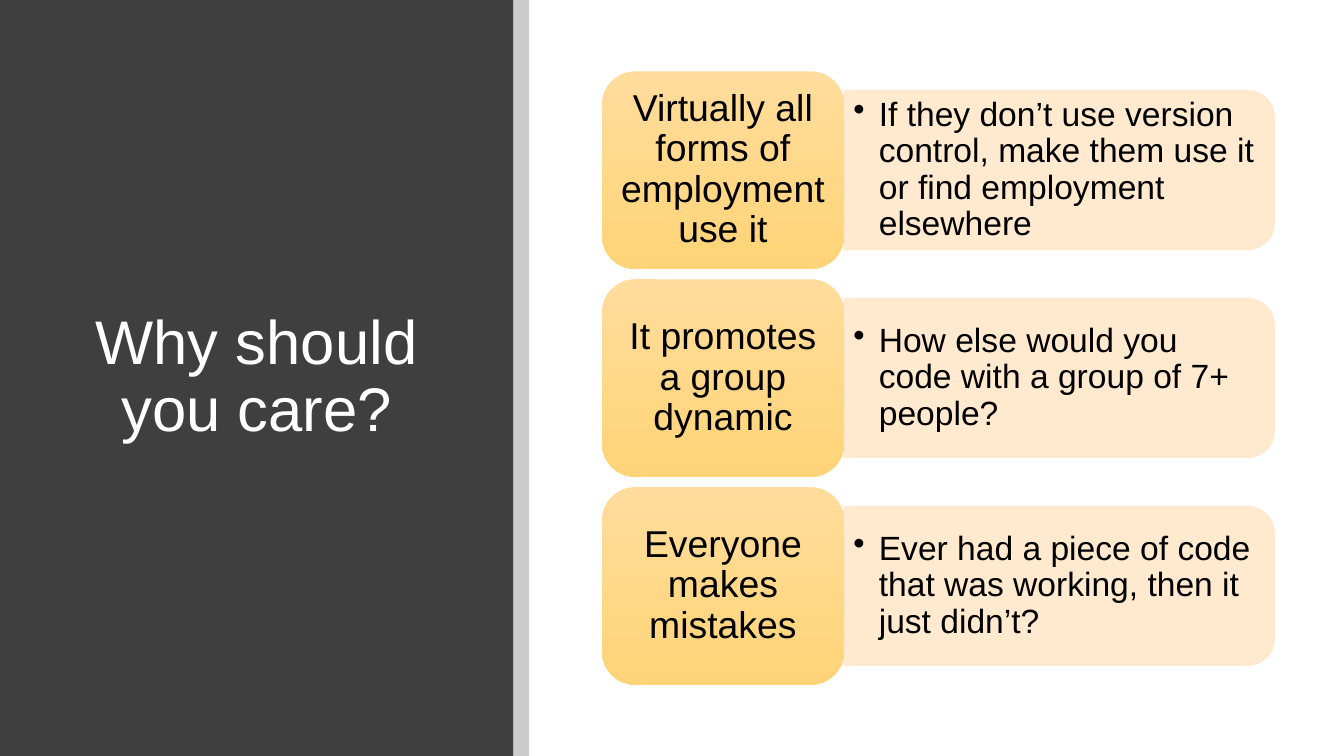
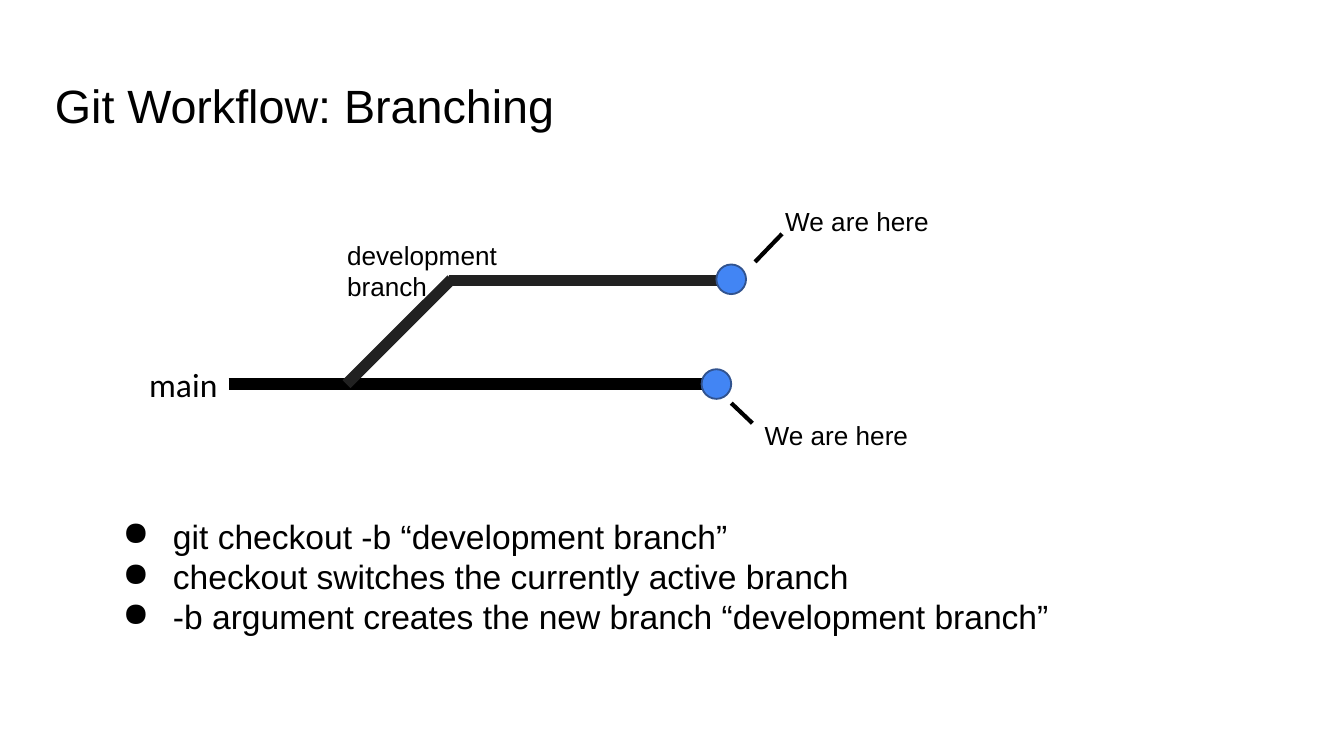
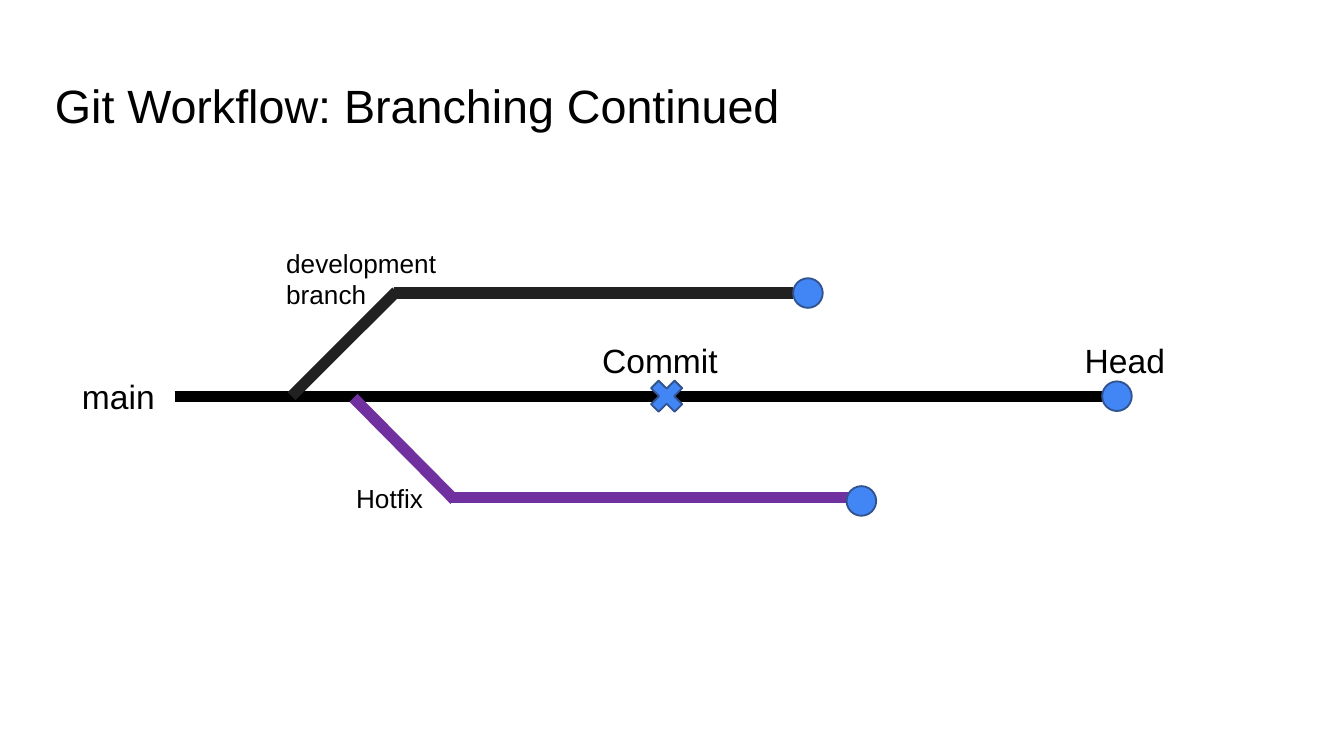
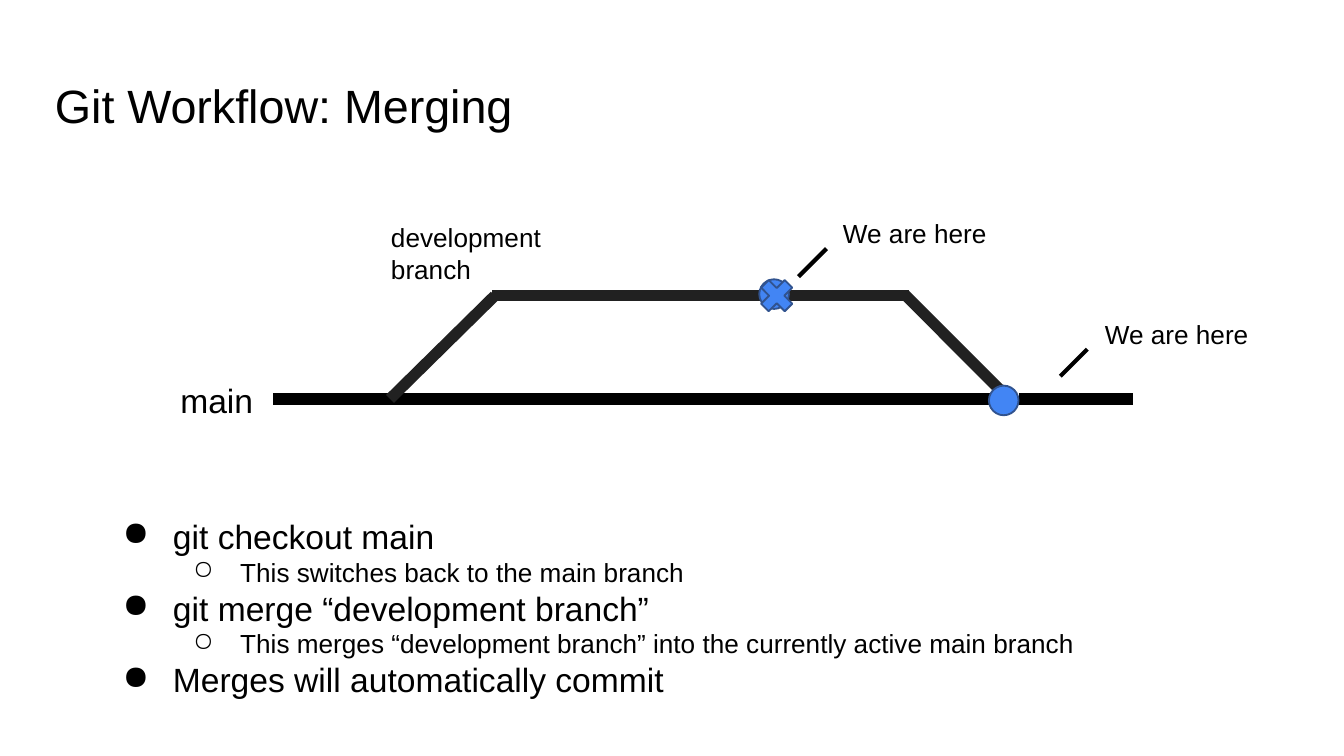
"""Build four slides on why version control matters and how Git branches work."""
from lxml.etree import SubElement as Sub
from pptx import Presentation
from pptx.dml.color import RGBColor
from pptx.enum.shapes import MSO_CONNECTOR as Link, MSO_SHAPE as Form
from pptx.enum.text import MSO_ANCHOR as Anchor, PP_ALIGN as Align
from pptx.oxml.ns import qn
from pptx.util import Cm, Pt

BLACK, WHITE, SLATE = "000000", "FFFFFF", "3F3F3F"
CREAM, GOLD = "FFE8CA", ("FFDC9B", "FFD478")
COAL, PLUM, BLUE, NAVY = "212121", "7030A0", "4285F4", "31538F"
WIDE, HIGH = 25.4, 14.29
DOT, CROSS = 0.56, 0.86
BULLETS = [("●", 1.27, 0.95, 18), ("○", 2.54, 0.89, 14)]

REASONS = [
    ("Virtually all forms of employment use it",
     "If they don’t use version control, make them use it or find employment elsewhere"),
    ("It promotes a group dynamic",
     "How else would you code with a group of 7+ people?"),
    ("Everyone makes mistakes",
     "Ever had a piece of code that was working, then it just didn’t?"),
]

DEV, HERE = "development\nbranch", "We are here"

FLOWS = [
    {
        "title": "Git Workflow: Branching",
        "lines": [
            (BLACK, 6, [(4.32, 7.26, 13.54, 7.26)]),
            (COAL, 6, [(6.55, 7.26, 8.53, 5.28), (8.48, 5.31, 13.67, 5.31)]),
            (BLACK, 2.25, [(13.82, 7.62, 14.22, 8), (14.27, 4.95, 14.78, 4.42)]),
        ],
        "dots": [(13.82, 5.28), (13.54, 7.26)],
        "crosses": [],
        "labels": [
            ("main", 2.64, 6.78, 1.68, 18, "Calibri"),
            (DEV, 6.38, 4.42, 3.53, 14, "Arial"),
            (HERE, 14.27, 7.82, 3.53, 14, "Arial"),
            (HERE, 14.66, 3.78, 3.53, 14, "Arial"),
        ],
        "notes": [
            (0, "git checkout -b “development branch”"),
            (0, "checkout switches the currently active branch"),
            (0, "-b argument creates the new branch “development branch”"),
        ],
    },
    {
        "title": "Git Workflow: Branching Continued",
        "lines": [
            (BLACK, 6, [(3.3, 7.49, 12.5, 7.49), (12.7, 7.49, 20.98, 7.49)]),
            (COAL, 6, [(5.51, 7.49, 7.49, 5.51), (7.44, 5.54, 14.99, 5.54)]),
            (PLUM, 6, [(8.48, 9.4, 16.05, 9.4), (6.68, 7.52, 8.59, 9.45)]),
        ],
        "dots": [(21.11, 7.49), (15.27, 5.54), (16.28, 9.47)],
        "crosses": [(12.6, 7.49)],
        "labels": [
            ("Head", 20.32, 6.32, 2.13, 18, "Arial"),
            ("Commit", 11.2, 6.32, 2.72, 18, "Arial"),
            ("main", 1.37, 7.01, 1.93, 18, "Arial"),
            (DEV, 5.23, 4.57, 3.53, 14, "Arial"),
            ("Hotfix", 6.55, 9.02, 1.93, 14, "Arial"),
        ],
        "notes": [],
    },
    {
        "title": "Git Workflow: Merging",
        "lines": [
            (BLACK, 6, [(5.16, 7.54, 18.8, 7.54), (19.25, 7.54, 21.41, 7.54)]),
            (COAL, 6, [(7.37, 7.54, 9.35, 5.59), (9.3, 5.59, 14.5, 5.59),
                       (14.91, 5.59, 17.17, 5.59), (17.09, 5.56, 19.02, 7.49)]),
            (BLACK, 2.25, [(15.09, 5.23, 15.62, 4.7), (20.04, 7.11, 20.55, 6.6)]),
        ],
        "dots": [(14.63, 5.56), (18.97, 7.57)],
        "crosses": [(14.68, 5.59)],
        "labels": [
            (DEV, 7.21, 4.09, 3.53, 14, "Arial"),
            (HERE, 15.75, 4.01, 3.53, 14, "Arial"),
            (HERE, 20.7, 5.92, 3.53, 14, "Arial"),
            ("main", 3.23, 7.09, 1.93, 18, "Arial"),
        ],
        "notes": [
            (0, "git checkout main"),
            (1, "This switches back to the main branch"),
            (0, "git merge “development branch”"),
            (1, "This merges “development branch” into the currently active main branch"),
            (0, "Merges will automatically commit"),
        ],
    },
]


def rgb(code):
    return RGBColor.from_string(code)


def style(par, size, color=BLACK, font="Arial"):
    for run in par.runs:
        run.font.size, run.font.name = Pt(size), font
        run.font.color.rgb = rgb(color)


def bullet(par, mark, left, hang):
    props = par._p.get_or_add_pPr()
    props.set("marL", str(Cm(left)))
    props.set("indent", str(-Cm(hang)))
    Sub(props, qn("a:buChar")).set("char", mark)


def write(frame, text, size, color=BLACK, font="Arial", pad=(0.18, 0.1),
          anchor=Anchor.TOP, align=Align.LEFT, space=None):
    frame.word_wrap, frame.vertical_anchor = True, anchor
    frame.margin_left = frame.margin_right = Cm(pad[0])
    frame.margin_top = frame.margin_bottom = Cm(pad[1])
    frame.text = text
    for par in frame.paragraphs:
        par.alignment, par.line_spacing = align, space
        style(par, size, color, font)
    return frame


def add_text(slide, box, text, size, **look):
    area = slide.shapes.add_textbox(*map(Cm, box))
    return write(area.text_frame, text, size, **look)


def add_form(slide, kind, box, fill=None, line=None, width=1, alpha=100):
    shape = slide.shapes.add_shape(kind, *map(Cm, box))
    shape.shadow.inherit = False
    if fill:
        shape.fill.solid()
        shape.fill.fore_color.rgb = rgb(fill)
    if line:
        shape.line.color.rgb, shape.line.width = rgb(line), Pt(width)
    else:
        shape.line.fill.background()
    if alpha < 100:
        for tint in shape._element.spPr.iter(qn("a:srgbClr")):
            Sub(tint, qn("a:alpha")).set("val", str(alpha * 1000))
    return shape


def add_mark(slide, kind, spot, size):
    box = (spot[0] - size / 2, spot[1] - size / 2, size, size)
    return add_form(slide, kind, box, BLUE, NAVY)


def add_line(slide, ends, color, width):
    line = slide.shapes.add_connector(Link.STRAIGHT, *map(Cm, ends))
    line.line.color.rgb, line.line.width = rgb(color), Pt(width)
    Sub(line._element.spPr, qn("a:effectLst"))


def add_card(slide, top, head, detail):
    left, wide, high = 11.38, 4.57, 3.73
    long, thick, tall = 8.13, 3, 2.69
    edge, mid = left + wide, top + high / 2
    panel = add_form(slide, Form.ROUND_2_SAME_RECTANGLE,
                     (edge + (long - thick) / 2, mid - long / 2, thick, long),
                     CREAM, CREAM, 0.75, 90)
    panel.rotation = 90
    frame = add_text(slide, (edge, mid - tall / 2, 7.98, tall), detail, 18,
                     anchor=Anchor.MIDDLE, space=0.9)
    par = frame.paragraphs[0]
    par.level = 1
    bullet(par, "•", 0.48, 0.48)
    card = add_form(slide, Form.ROUNDED_RECTANGLE, (left, top, wide, high))
    card.fill.gradient()
    card.fill.gradient_angle = 270
    for stop, code in zip(card.fill.gradient_stops, GOLD):
        stop.color.rgb = rgb(code)
    write(card.text_frame, head, 20, pad=(0.14, 0.1),
          anchor=Anchor.MIDDLE, align=Align.CENTER, space=0.9)


def add_why(slide):
    add_form(slide, Form.RECTANGLE, (0, 0, 9.7, HIGH), SLATE)
    add_form(slide, Form.RECTANGLE, (9.7, 0, 0.3, HIGH), BLACK, alpha=20)
    add_text(slide, (1.37, 1.52, 6.96, 11.25), "Why should you care?", 33,
             color=WHITE, anchor=Anchor.MIDDLE, align=Align.CENTER, space=0.9)
    for row, (head, detail) in enumerate(REASONS):
        add_card(slide, 1.35 + 3.93 * row, head, detail)


def add_notes(slide, notes):
    text = "\n".join(line for _, line in notes)
    high = 0.5 + 0.75 * len(notes)
    frame = add_text(slide, (1.75, 9.5, 21.89, high), text, 18, pad=(0.25, 0.25))
    for par, (level, _) in zip(frame.paragraphs, notes):
        mark, left, hang, size = BULLETS[level]
        par.level = level
        bullet(par, mark, left, hang)
        style(par, size)


def add_flow(slide, flow):
    for color, width, parts in flow["lines"]:
        for ends in parts:
            add_line(slide, ends, color, width)
    for spot in flow["dots"]:
        add_mark(slide, Form.OVAL, spot, DOT)
    for spot in flow["crosses"]:
        add_mark(slide, Form.MATH_MULTIPLY, spot, CROSS)
    for text, left, top, wide, size, font in flow["labels"]:
        high = 0.2 + 0.04 * size * len(text.split("\n"))
        add_text(slide, (left, top, wide, high), text, size, font=font)
    if flow["notes"]:
        add_notes(slide, flow["notes"])
    add_text(slide, (0.86, 1.24, 23.67, 1.6), flow["title"], 25,
             anchor=Anchor.MIDDLE, space=0.9)


def main():
    deck = Presentation()
    deck.slide_width, deck.slide_height = Cm(WIDE), Cm(HIGH)
    blank = deck.slide_layouts[6]
    add_why(deck.slides.add_slide(blank))
    for flow in FLOWS:
        add_flow(deck.slides.add_slide(blank), flow)
    deck.save("out.pptx")


if __name__ == "__main__":
    main()
